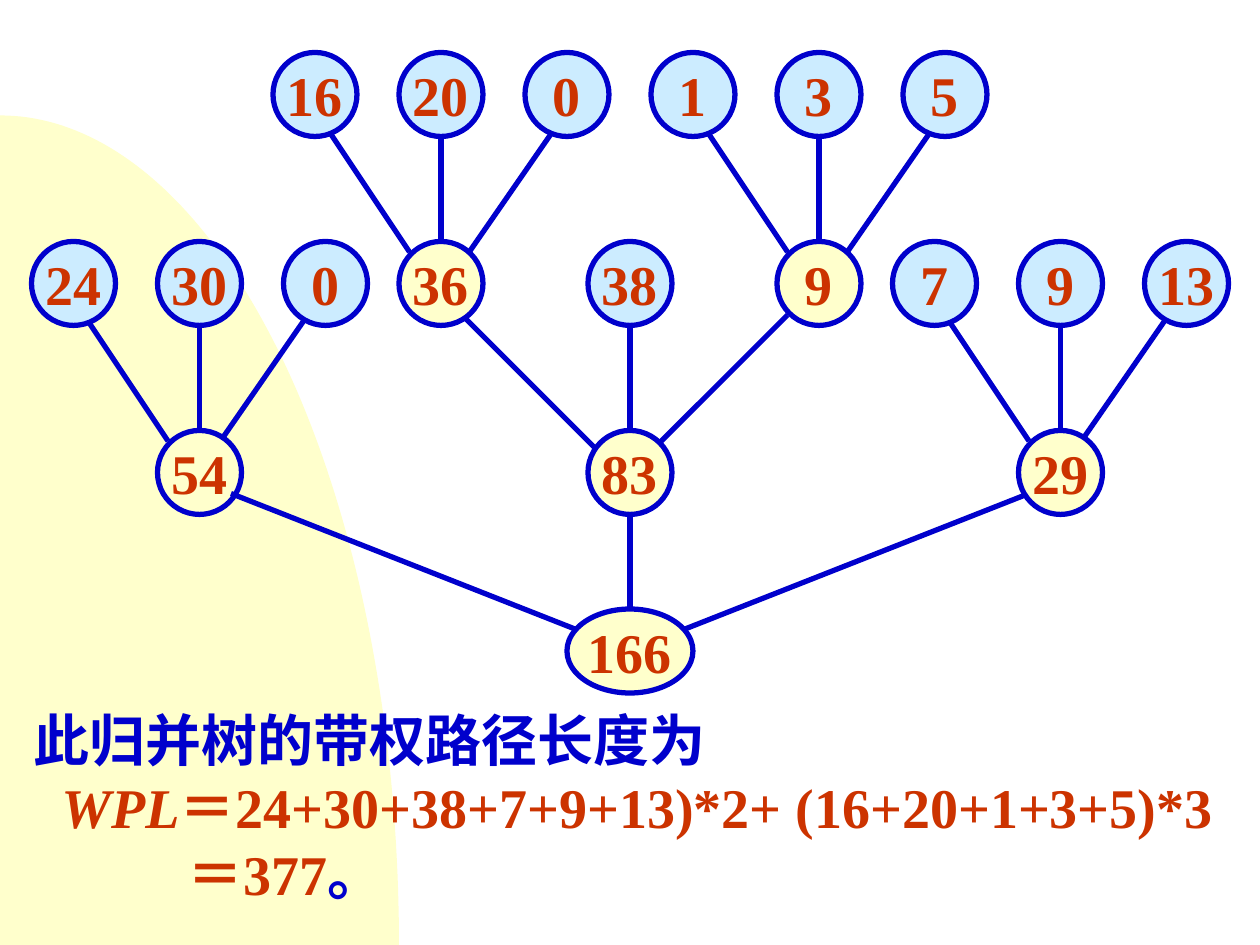
import math

import pptx
import pptx.dml.color
import pptx.enum.shapes
import pptx.enum.text
import pptx.oxml.ns
import pptx.util
from lxml import etree

# Grid of 120 columns by 90 rows over the slide
COLUMNS, ROWS = 120, 90
CELL = pptx.util.Inches(10) // COLUMNS
BLUE, RED, CREAM, SKY = "0000CC", "CC3300", "FFFFCC", "CCECFF"
LETTERING = {"name": "Times New Roman", "size": pptx.util.Pt(32), "bold": True}
RADIUS = 4

# Each node: label, centre column, centre row
TOP, UPPER, LOWER = 9, 27, 45
LEAVES = [(label, 30 + 12 * step, TOP)
          for step, label in enumerate(["16", "20", "0", "1", "3", "5"])]
LEAVES += [(label, first + 12 * step, UPPER)
           for first, labels in ((7, ("24", "30", "0")), (89, ("7", "9", "13")))
           for step, label in enumerate(labels)]
LEAVES += [("38", 60, UPPER)]
MERGED = [("36", 42, UPPER), ("9", 78, UPPER),
          ("54", 19, LOWER), ("83", 60, LOWER), ("29", 101, LOWER)]
ROOT = ("166", 60, 62)

# Each branch: offset from child centre, offset from parent centre
LEFT, STRAIGHT = ((1, 3), (-3, -3)), ((0, 4), (0, -4))
RIGHT_TOP, RIGHT_UPPER = ((-1, 3), (2, -2)), ((-1, 2), (2, -3))
# Each family: parent centre, child row, gap to the side children, branches
FAMILIES = [
    ((42, UPPER), TOP, 12, (LEFT, STRAIGHT, RIGHT_TOP)),
    ((78, UPPER), TOP, 12, (LEFT, STRAIGHT, RIGHT_TOP)),
    ((19, LOWER), UPPER, 12, (LEFT, STRAIGHT, RIGHT_UPPER)),
    ((101, LOWER), UPPER, 12, (LEFT, STRAIGHT, RIGHT_UPPER)),
    ((60, LOWER), UPPER, 18, (((2, 3), (-3, -2)), STRAIGHT, ((-3, 3), (2, -2)))),
    ((60, 62), LOWER, 41, (None, STRAIGHT, ((-3, 2), (5, -2)))),
]
# The 54 branch lies in front of its node
FRONT_FAMILY = ((60, 62), LOWER, 41, (((3, 2), (-5, -2)), None, None))


def color(hex_text):
    return pptx.dml.color.RGBColor.from_string(hex_text)


def cells(*counts):
    return [round(count * CELL) for count in counts]


def add_span(para, text, hex_text, **extra):
    span = para.add_run()
    span.text = text
    for key, value in {**LETTERING, **extra}.items():
        setattr(span.font, key, value)
    span.font.color.rgb = color(hex_text)


def add_backdrop(page, box):
    """Quarter ellipse filling the box, centred on its lower left corner."""
    left, top, width, height = box
    steps = 90
    curve = [(left + width * math.sin(math.pi / 2 * step / steps),
              top + height * (1 - math.cos(math.pi / 2 * step / steps)))
             for step in range(steps + 1)]
    points = [cells(*point) for point in curve + [(left, top + height)]]
    builder = page.shapes.build_freeform(*points[0])
    builder.add_line_segments(points[1:], close=True)
    shape = builder.convert_to_shape()
    shape.shadow.inherit = False
    shape.fill.solid()
    shape.fill.fore_color.rgb = color(CREAM)
    shape.line.fill.background()


def add_family(page, parent, child_row, gap, branches):
    column, row = parent
    for side, branch in zip((-1, 0, 1), branches):
        if branch is None:
            continue
        (child_x, child_y), (parent_x, parent_y) = branch
        line = page.shapes.add_connector(
            pptx.enum.shapes.MSO_CONNECTOR.STRAIGHT,
            *cells(column + side * gap + child_x, child_row + child_y,
                   column + parent_x, row + parent_y))
        line.line.color.rgb = color(BLUE)
        line.line.width = pptx.util.Pt(3)
        etree.SubElement(line._element.spPr, pptx.oxml.ns.qn("a:effectLst"))


def add_node(page, box, label, fill):
    node = page.shapes.add_shape(pptx.enum.shapes.MSO_SHAPE.OVAL, *cells(*box))
    node.shadow.inherit = False
    node.fill.solid()
    node.fill.fore_color.rgb = color(fill)
    node.line.color.rgb = color(BLUE)
    node.line.width = pptx.util.Pt(3)
    frame = node.text_frame
    frame.word_wrap = False
    frame.vertical_anchor = pptx.enum.text.MSO_ANCHOR.MIDDLE
    para = frame.paragraphs[0]
    para.alignment = pptx.enum.text.PP_ALIGN.CENTER
    add_span(para, label, RED)


def add_tree(page):
    for family in FAMILIES:
        add_family(page, *family)
    for nodes, fill, half_width in ((LEAVES, SKY, RADIUS), (MERGED, CREAM, RADIUS),
                                    ([ROOT], CREAM, 6)):
        for label, column, row in nodes:
            box = (column - half_width, row - RADIUS, 2 * half_width, 2 * RADIUS)
            add_node(page, box, label, fill)
    add_family(page, *FRONT_FAMILY)


def add_path_length(page, box):
    frame = page.shapes.add_textbox(*cells(*box)).text_frame
    frame.word_wrap = True
    # Each line: indent in points, spans
    lines = [
        (0, [("此归并树的带权路径长度为", BLUE, {})]),
        (16, [("WPL", RED, {"italic": True}),
              ("＝24+30+38+7+9+13)*2+ (16+20+1+3+5)*3", RED, {})]),
        (88, [("＝377", RED, {}), ("。", BLUE, {})]),
    ]
    for index, (indent, spans) in enumerate(lines):
        para = frame.add_paragraph() if index else frame.paragraphs[0]
        para._p.get_or_add_pPr().set("marL", str(pptx.util.Pt(indent)))
        for text, hex_text, extra in spans:
            add_span(para, text, hex_text, **extra)


def main():
    deck = pptx.Presentation()
    deck.slide_width, deck.slide_height = cells(COLUMNS, ROWS)
    page = deck.slides.add_slide(deck.slide_layouts[6])
    add_backdrop(page, (0, 11, 38, 79))
    add_tree(page)
    add_path_length(page, (2, 66.6, 118, 20.4))
    deck.save("out.pptx")


if __name__ == "__main__":
    main()
